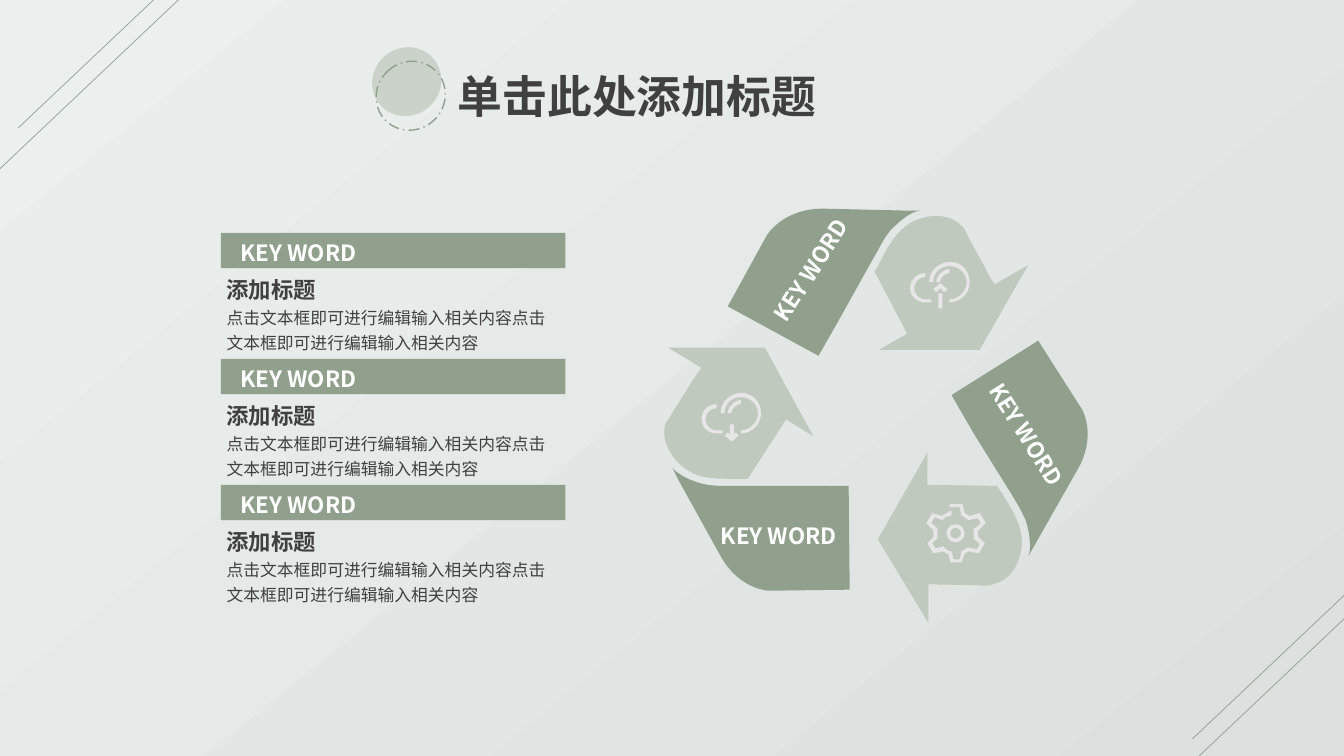
from lxml.etree import SubElement
from pptx import Presentation
from pptx.dml.color import RGBColor
from pptx.enum.dml import MSO_LINE
from pptx.enum.shapes import MSO_CONNECTOR, MSO_SHAPE
from pptx.enum.text import MSO_ANCHOR, MSO_AUTO_SIZE, PP_ALIGN
from pptx.oxml.ns import qn
from pptx.util import Pt

PX = 9144
FONT = "Noto Sans CJK SC"
SAGE = RGBColor(0x90, 0xA0, 0x8D)
PALE = RGBColor(0xC0, 0xC9, 0xBE)
ICON = RGBColor(0xE7, 0xE6, 0xE6)
INK = RGBColor(0x40, 0x40, 0x40)
WHITE = RGBColor(0xFF, 0xFF, 0xFF)
BG_LIGHT = RGBColor(0xEB, 0xF0, 0xEF)
BG_DARK = RGBColor(0xDC, 0xE0, 0xDE)

prs = Presentation()
prs.slide_width, prs.slide_height = 12192000, 750 * PX
s = prs.slides.add_slide(prs.slide_layouts[5])


def text(words, box, size=16, color=INK, bold=True, align=PP_ALIGN.LEFT,
         spacing=1.0, rotation=0, sp=None):
    sp = sp or s.shapes.add_textbox(0, 0, 0, 0)
    sp.left, sp.top, sp.width, sp.height = [v * PX for v in box]
    sp.rotation = rotation
    tf = sp.text_frame
    tf.word_wrap = True
    tf.auto_size = MSO_AUTO_SIZE.SHAPE_TO_FIT_TEXT
    tf.vertical_anchor = MSO_ANCHOR.TOP
    p = tf.paragraphs[0]
    p.alignment = align
    p.line_spacing = spacing
    r = p.add_run()
    r.text = words
    r.font.size, r.font.bold, r.font.name = Pt(size), bold, FONT
    r.font.color.rgb = color
    SubElement(r.font._element, qn("a:ea"), typeface=FONT)


def outline(steps, color, dx=0, dy=0):
    points = [steps[0]]
    for step in steps[1:]:
        if len(step) == 2:
            points.append(step)
            continue
        x0, y0 = points[-1]
        x1, y1, x2, y2, x3, y3 = step
        for i in range(1, 13):
            t = i / 12
            u = 1 - t
            a, b, c, d = u ** 3, 3 * u * u * t, 3 * u * t * t, t ** 3
            points.append((a * x0 + b * x1 + c * x2 + d * x3,
                           a * y0 + b * y1 + c * y2 + d * y3))
    emu = [(round((x + dx) * PX), round((y + dy) * PX)) for x, y in points]
    fb = s.shapes.build_freeform(*emu[0])
    fb.add_line_segments(emu[1:], close=True)
    sp = fb.convert_to_shape()
    sp.shadow.inherit = False
    sp.fill.solid()
    sp.fill.fore_color.rgb = color
    sp.line.fill.background()


fill = s.background.fill
fill.gradient()
fill.gradient_angle = 309
for stop, color in zip(fill.gradient_stops, (BG_LIGHT, BG_DARK)):
    stop.color.rgb = color

for x1, y1, x2, y2 in [(180, -3, -6, 173), (204, -49, 18, 127),
                       (1345, 603, 1159, 779), (1368, 558, 1183, 733)]:
    line = s.shapes.add_connector(MSO_CONNECTOR.STRAIGHT, x1 * PX, y1 * PX, x2 * PX, y2 * PX)
    line.line.color.rgb = SAGE
    line.line.width = Pt(0.5)
    SubElement(line._element.spPr, qn("a:effectLst"))

text("单击此处添加标题", (444, 63, 495, 64), size=32, align=PP_ALIGN.JUSTIFY, sp=s.shapes.title)

disc, ring = [s.shapes.add_shape(MSO_SHAPE.OVAL, x * PX, y * PX, 67 * PX, 70 * PX)
              for x, y in ((370, 46), (374, 60))]
for sp in (disc, ring):
    sp.rotation = 47
    sp.shadow.inherit = False
disc.fill.solid()
disc.fill.fore_color.rgb = PALE
SubElement(disc.fill._xPr.find(qn("a:solidFill"))[0], qn("a:alpha"), val="74000")
disc.line.fill.background()
ring.fill.background()
ring.line.color.rgb = SAGE
ring.line.width = Pt(1)
ring.line.dash_style = MSO_LINE.LONG_DASH_DOT

top_arrow = [(987, 282), (983, 277, 980, 271, 977, 265), (959, 232),
             (958, 229, 956, 226, 954, 224), (945, 215, 933, 213, 920, 215),
             (893, 220, 883, 241, 872, 262), (872, 263, 867, 269, 868, 270),
             (900, 331), (872, 347), (972, 347), (1020, 263)]
top_band = [(880, 233), (882, 231, 883, 228, 885, 227), (892, 220, 904, 209, 914, 209),
            (900, 209), (816, 207), (790, 207, 771, 219, 761, 233), (722, 304),
            (812, 353), (832, 318), (866, 257), (871, 249, 875, 240, 880, 233)]
right_arrow = [(921, 579), (927, 580, 934, 580, 940, 580), (978, 581),
               (981, 581, 984, 580, 987, 579), (999, 576, 1007, 566, 1011, 554),
               (1020, 529, 1006, 509, 994, 489), (992, 487, 991, 484, 989, 482),
               (920, 481), (920, 449), (871, 535), (921, 618)]
right_band = [(1015, 511), (1017, 514, 1018, 517, 1019, 521),
              (1021, 529, 1024, 544, 1020, 552), (1027, 540), (1069, 466),
              (1082, 444, 1081, 422, 1074, 407), (1030, 338), (944, 392),
              (966, 430), (1004, 491), (1008, 498, 1012, 504, 1015, 511)]
left_arrow = [(696, 365), (692, 370, 688, 376, 685, 381), (665, 413),
              (663, 416, 661, 419, 660, 421), (657, 433, 661, 445, 670, 456),
              (677, 464, 686, 470, 697, 473), (710, 476, 741, 475, 742, 475),
              (780, 416), (807, 433), (759, 345), (663, 345)]
left_band = [(667, 464), (673, 476), (714, 550), (726, 573, 745, 584, 762, 586),
             (843, 585), (842, 482), (731, 482), (716, 482, 702, 483, 688, 477),
             (684, 476, 681, 474, 677, 472), (674, 470, 669, 467, 667, 464)]
for arrow, band in [(top_arrow, top_band), (right_arrow, right_band), (left_arrow, left_band)]:
    outline(arrow, PALE)
    outline(band, SAGE)

gear = [(954, 558), (943, 558), (941, 550), (935, 547), (926, 549), (920, 539), (926, 533),
        (926, 526), (919, 519), (925, 509), (934, 512), (941, 508), (941, 507), (944, 507),
        (944, 511), (943, 512), (940, 512, 938, 513, 936, 515), (935, 516), (927, 513),
        (924, 519), (930, 524), (930, 534), (925, 539), (928, 544), (936, 542),
        (938, 545, 940, 546, 943, 547), (944, 547), (946, 555), (952, 555), (954, 547),
        (960, 543), (969, 545), (972, 540), (966, 534), (966, 525), (973, 519), (970, 514),
        (961, 516), (955, 512), (954, 512), (952, 503), (942, 503), (942, 500), (955, 500),
        (957, 509), (962, 512), (972, 509), (978, 519), (970, 527), (970, 532), (977, 539),
        (971, 549), (961, 547), (957, 549)]
outline(gear, ICON)

cloud = [(735, 430), (735, 427), (744, 427, 752, 419, 752, 410), (752, 401, 744, 394, 735, 394),
         (727, 394, 719, 400, 719, 409), (719, 410), (715, 410), (715, 408),
         (716, 398, 725, 390, 735, 390), (736, 390), (747, 390, 755, 399, 755, 410),
         (755, 421, 746, 430, 735, 430)]
shine = [(726, 410), (722, 410), (722, 409), (723, 403, 729, 397, 735, 397), (735, 401),
         (731, 401, 726, 405, 726, 409)]
puff = [(717, 430), (711, 430), (703, 430, 696, 424, 696, 416), (696, 407, 703, 401, 711, 401),
        (711, 405), (705, 405, 700, 410, 700, 416), (700, 422, 705, 427, 711, 427), (717, 427)]
down_head = [(726, 438), (719, 432), (722, 429), (726, 433), (730, 429), (733, 432)]
up_head = [(x, 849 - y) for x, y in down_head]
solids = [(MSO_SHAPE.DONUT, 939, 520, 18, 18)]
for dx, dy, head in [(0, 0, down_head), (207, -130, up_head)]:
    for part in (cloud, shine, puff, head):
        outline(part, ICON, dx, dy)
    solids.append((MSO_SHAPE.RECTANGLE, 724 + dx, 421 + dy, 4, 15))
for kind, x, y, w, h in solids:
    sp = s.shapes.add_shape(kind, x * PX, y * PX, w * PX, h * PX)
    sp.shadow.inherit = False
    sp.fill.solid()
    sp.fill.fore_color.rgb = ICON
    sp.line.fill.background()
    if kind == MSO_SHAPE.DONUT:
        sp.adjustments[0] = 0.2

for x, y, angle in [(699, 513, 0), (946, 413, 57.5), (730, 250, 302.9)]:
    text("KEY WORD", (x, y, 147, 35), color=WHITE, align=PP_ALIGN.CENTER, rotation=angle)

for i in range(3):
    y = 231 + 125 * i
    bar = s.shapes.add_shape(MSO_SHAPE.RECTANGLE, 219 * PX, y * PX, 342 * PX, 35 * PX)
    bar.shadow.inherit = False
    bar.fill.solid()
    bar.fill.fore_color.rgb = SAGE
    bar.line.fill.background()
    text("KEY WORD", (217, y + 1, 158, 37), color=WHITE, align=PP_ALIGN.CENTER)
    text("点击文本框即可进行编辑输入相关内容点击文本框即可进行编辑输入相关内容",
         (215, y + 64, 346, 58), size=12, bold=False, spacing=1.25)
    text("添加标题", (215, y + 31, 148, 44), spacing=1.25)

prs.save("out.pptx")
